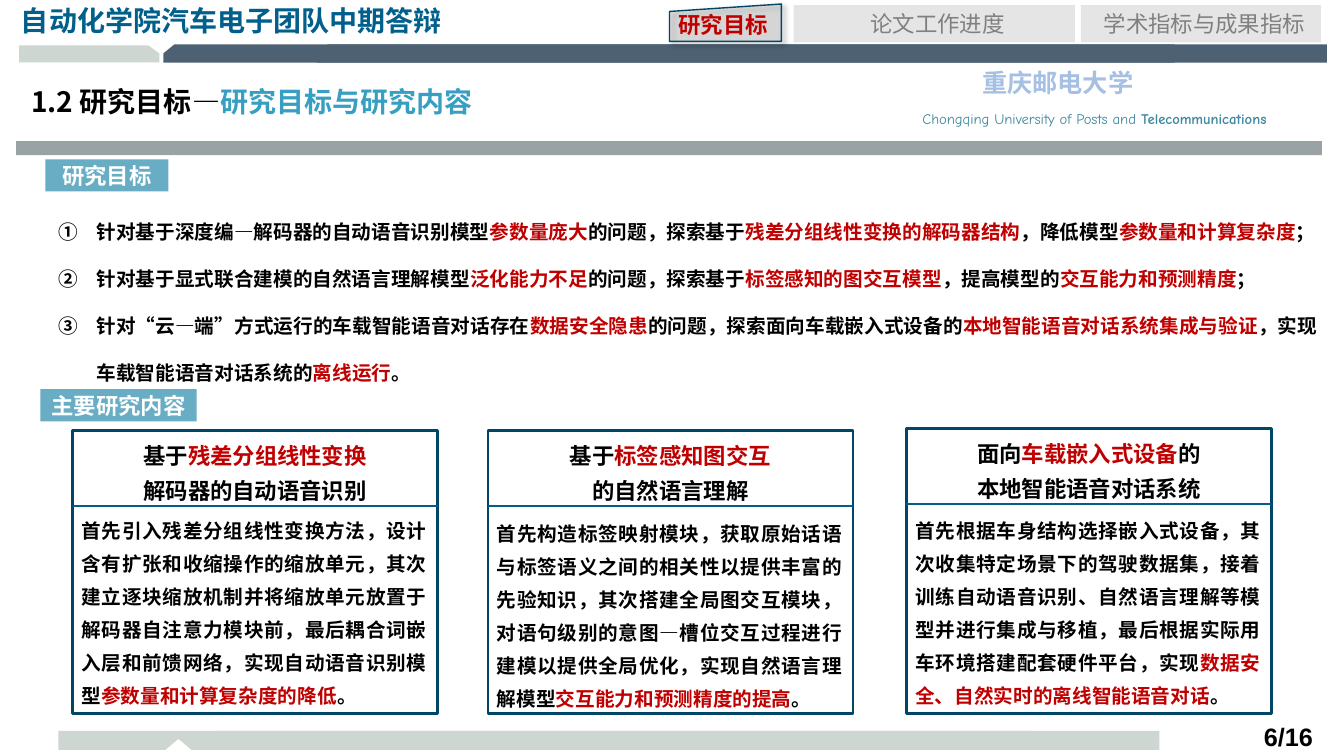
from dataclasses import dataclass

from lxml.etree import SubElement
from pptx import Presentation
from pptx.dml.color import RGBColor
from pptx.enum.shapes import MSO_CONNECTOR, MSO_SHAPE
from pptx.enum.text import MSO_ANCHOR as Anchor, MSO_AUTO_SIZE as AutoSize, PP_ALIGN as Align
from pptx.oxml.ns import qn
from pptx.util import Inches, Pt


@dataclass(frozen=True)
class Theme:
    font: str = "Noto Sans CJK SC"
    latin: str = "Comic Neue"
    number: str = "Arial"
    black: str = "000000"
    white: str = "FFFFFF"
    red: str = "C00000"
    gray: str = "808080"
    sage: str = "CDD6D1"
    slate: str = "4E6172"
    silver: str = "99A2A5"
    label: str = "68ADC3"
    border: str = "004767"
    rule: str = "005E88"
    team: str = "00608B"
    topic: str = "379FC1"
    school: str = "A5C0E2"
    motto: str = "4089A0"
    title_size: float = 20
    large: float = 18
    heading: float = 16
    body: float = 14
    small: float = 10.5


THEME = Theme()

GOALS = [
    "针对基于深度编—解码器的自动语音识别模型|参数量庞大|的问题，探索基于|残差分组线性变换的解码器结构|"
    "，降低模型|参数量和计算复杂度|；",
    "针对基于显式联合建模的自然语言理解模型|泛化能力不足|的问题，探索基于|标签感知的图交互模型|"
    "，提高模型的|交互能力和预测精度|；",
    "针对“云—端”方式运行的车载智能语音对话存在|数据安全隐患|的问题，探索面向车载嵌入式设备的|"
    "本地智能语音对话系统集成与验证|，实现车载智能语音对话系统的|离线运行|。",
]

# Box, offset of the body text, heading lines, body text
CARDS = [
    ((0.72, 4.27, 3.62, 2.81), 0.74, ["基于|残差分组线性变换", "解码器的自动语音识别"],
     "首先引入残差分组线性变换方法，设计含有扩张和收缩操作的缩放单元，其次建立逐块缩放机制并将缩放单元放置于"
     "解码器自注意力模块前，最后耦合词嵌入层和前馈网络，实现自动语音识别模型|参数量和计算复杂度的降低|。"),
    ((4.84, 4.27, 3.62, 2.81), 0.77, ["基于|标签感知图交互", "的自然语言理解"],
     "首先构造标签映射模块，获取原始话语与标签语义之间的相关性以提供丰富的先验知识，其次搭建全局图交互模块，"
     "对语句级别的意图—槽位交互过程进行建模以提供全局优化，实现自然语言理解模型|交互能力和预测精度的提高|。"),
    ((8.99, 4.25, 3.62, 2.83), 0.76, ["面向|车载嵌入式设备|的", "本地智能语音对话系统"],
     "首先根据车身结构选择嵌入式设备，其次收集特定场景下的驾驶数据集，接着训练自动语音识别、自然语言理解等模型"
     "并进行集成与移植，最后根据实际用车环境搭建配套硬件平台，实现|数据安全、自然实时的离线智能语音对话|。"),
]


def rgb(color):
    return RGBColor.from_string(color)


def inches(values):
    return [Inches(value) for value in values]


def write(frame, lines, size, color=THEME.black, accent=THEME.red, bold=True, font=THEME.font,
          align=Align.LEFT, spacing=None, anchor=Anchor.TOP, wrap=True):
    """Fill a text frame; every second piece between bars takes the accent colour."""
    frame_format = {"word_wrap": wrap, "auto_size": AutoSize.NONE, "vertical_anchor": anchor}
    for name, value in frame_format.items():
        setattr(frame, name, value)
    for index, line in enumerate(lines):
        paragraph = frame.add_paragraph() if index else frame.paragraphs[0]
        paragraph.alignment = align
        paragraph.line_spacing = spacing
        for position, piece in enumerate(line.split("|")):
            run = paragraph.add_run()
            run.text = piece
            for name, value in {"size": Pt(size), "bold": bold, "name": font}.items():
                setattr(run.font, name, value)
            run.font.color.rgb = rgb(accent if position % 2 else color)
            SubElement(run._r.get_or_add_rPr(), qn("a:ea"), typeface=font)


def add_text(slide, box, lines, size, **text_format):
    frame = slide.shapes.add_textbox(*inches(box)).text_frame
    write(frame, lines, size, **text_format)
    return frame


def paint(shape, fill=None, line=None, width=1):
    shape.shadow.inherit = False
    if fill:
        shape.fill.solid()
        shape.fill.fore_color.rgb = rgb(fill)
    else:
        shape.fill.background()
    if line:
        shape.line.color.rgb = rgb(line)
        shape.line.width = Pt(width)
    else:
        shape.line.fill.background()
    return shape


def add_box(slide, box, kind=MSO_SHAPE.RECTANGLE, **paint_format):
    return paint(slide.shapes.add_shape(kind, *inches(box)), **paint_format)


def add_outline(slide, points, fill):
    start, *others = [inches(point) for point in points]
    builder = slide.shapes.build_freeform(*start)
    builder.add_line_segments(others, close=True)
    paint(builder.convert_to_shape(), fill)


def add_footer(slide):
    top, bottom = 7.25, 7.44
    for left, right, notch in [(2.12, 11.5, 3.28), (0.58, 10.23, 1.77)]:
        add_outline(slide, [(right, top), (right, bottom), (notch + 0.13, bottom), (notch, 7.33),
                            (notch - 0.13, bottom), (left, bottom), (left, top)], THEME.sage)
    add_text(slide, (11.98, 7.11, 1.14, 0.22), ["6/16"], THEME.large,
             font=THEME.number, align=Align.RIGHT)


def add_header(slide):
    add_text(slide, (8.5, 1.04, 4.71, 0.25), ["Chongqing University of Posts and "], THEME.small,
             color=THEME.motto, bold=False, font=THEME.latin, align=Align.CENTER)
    motto = slide.shapes[-1].text_frame.paragraphs[0]
    name = motto.add_run()
    name.text = "Telecommunications"
    for key, value in {"size": Pt(THEME.small), "bold": True, "name": THEME.latin}.items():
        setattr(name.font, key, value)
    name.font.color.rgb = rgb(THEME.motto)
    add_text(slide, (8.77, 0.62, 3.44, 0.38), ["重庆邮电大学"], THEME.large,
             color=THEME.school, align=Align.CENTER)
    add_outline(slide, [(1.58, 0.62), (0.19, 0.62), (0.19, 0.45), (1.47, 0.45), (1.58, 0.53)],
                THEME.sage)
    add_box(slide, (0.16, 1.4, 12.95, 0.14), fill=THEME.silver)
    for left, right in [(3.14, 13.16), (1.62, 11.65)]:
        add_outline(slide, [(right, 0.44), (right, 0.62), (left, 0.62), (left, 0.53),
                            (left + 0.11, 0.44)], THEME.slate)
    add_text(slide, (0.11, -0.01, 4.41, 0.44), ["自动化学院汽车电子团队中期答辩"], THEME.title_size,
             color=THEME.team, wrap=False)


def add_shadow(shape):
    effects = shape._element.spPr.find(qn("a:effectLst"))
    shadow = SubElement(effects, qn("a:outerShdw"), blurRad=str(Pt(4)), dist=str(Pt(3)),
                        dir="2700000", algn="tl", rotWithShape="0")
    color = SubElement(shadow, qn("a:srgbClr"), val=THEME.black)
    SubElement(color, qn("a:alpha"), val="40000")


def add_tab(slide, box, caption, active=False):
    left, top, width, height = box
    kind = MSO_SHAPE.FLOWCHART_MANUAL_INPUT if active else MSO_SHAPE.RECTANGLE
    tab = add_box(slide, box, kind, fill=THEME.gray, line=THEME.border if active else None)
    SubElement(tab._element.spPr.find(f"{qn('a:solidFill')}/{qn('a:srgbClr')}"),
               qn("a:alpha"), val="20000")
    if active:
        add_shadow(tab)
        add_text(slide, (left - 0.01, top + 0.02, width + 0.01, height), [caption], THEME.heading,
                 color=THEME.red)
    else:
        add_text(slide, (left + 0.05, top, width - 0.03, height), [caption], THEME.heading,
                 color=THEME.gray, bold=False, align=Align.CENTER)


def add_label(slide, box, caption):
    label = add_box(slide, box, fill=THEME.label)
    write(label.text_frame, [caption], THEME.heading, color=THEME.white, align=Align.CENTER,
          anchor=Anchor.MIDDLE, wrap=False)


def add_goals(slide, box):
    frame = add_text(slide, box, GOALS, THEME.body, align=Align.JUSTIFY, spacing=2)
    for paragraph in frame.paragraphs:
        properties = paragraph._p.get_or_add_pPr()
        for name, value in {"marL": 0.38, "indent": -0.38}.items():
            properties.set(name, str(Inches(value)))
        SubElement(properties, qn("a:buAutoNum"), type="circleNumDbPlain")


def add_card(slide, box, body_offset, heading, body):
    left, top, width, height = box
    add_box(slide, box, line=THEME.border, width=2)
    rule = slide.shapes.add_connector(MSO_CONNECTOR.STRAIGHT,
                                      *inches((left, top + 0.75, left + width, top + 0.75)))
    rule.line.color.rgb = rgb(THEME.rule)
    rule.line.width = Pt(1.5)
    SubElement(rule._element.spPr, qn("a:effectLst"))
    add_text(slide, (left, top - 0.01, width, 0.77), heading, THEME.heading,
             align=Align.CENTER, spacing=1.3)
    add_text(slide, (left - 0.01, top + body_offset, width, 2.04), [body], THEME.body,
             align=Align.JUSTIFY, spacing=1.4)


def add_title(slide, box):
    title = slide.shapes.title
    for name, value in zip(("left", "top", "width", "height"), inches(box)):
        setattr(title, name, value)
    write(title.text_frame, ["1.2 研究目标—|研究目标与研究内容"], THEME.title_size,
          accent=THEME.topic, anchor=Anchor.MIDDLE)


def main():
    presentation = Presentation()
    presentation.slide_width, presentation.slide_height = inches((13.33, 7.5))
    slide = presentation.slides.add_slide(presentation.slide_layouts.get_by_name("Title Only"))
    add_footer(slide)
    add_header(slide)
    add_title(slide, (0.21, 0.73, 6.02, 0.55))
    add_tab(slide, (6.64, 0.04, 1.11, 0.37), "研究目标", active=True)
    add_tab(slide, (7.87, 0.05, 2.79, 0.37), "论文工作进度")
    add_tab(slide, (10.72, 0.05, 2.38, 0.37), "学术指标与成果指标")
    add_label(slide, (0.45, 1.58, 1.22, 0.32), "研究目标")
    add_goals(slide, (0.48, 1.9, 12.68, 1.91))
    add_label(slide, (0.4, 3.86, 1.55, 0.32), "主要研究内容")
    for card in CARDS:
        add_card(slide, *card)
    presentation.save("out.pptx")


if __name__ == "__main__":
    main()
